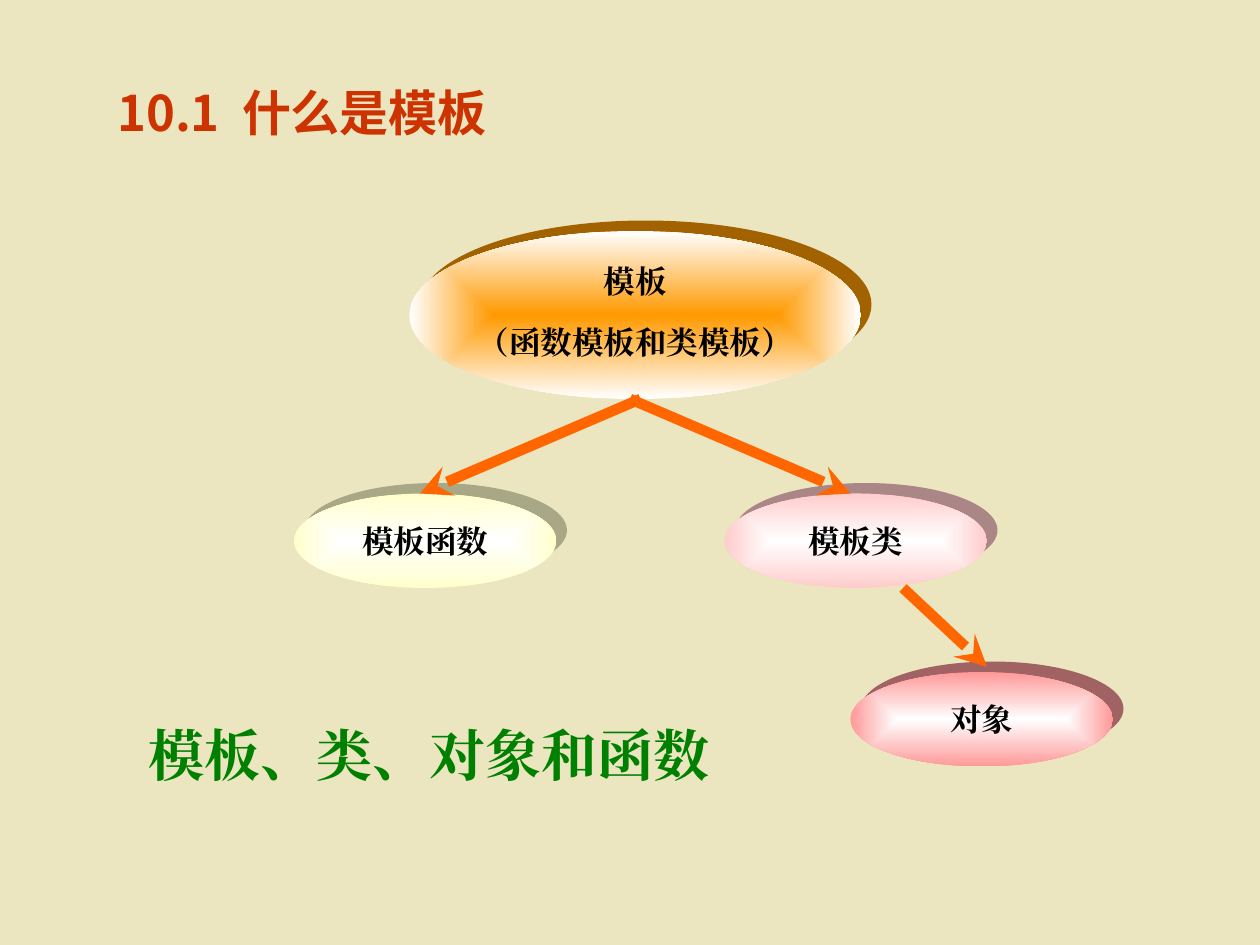
from dataclasses import dataclass
from lxml.etree import SubElement
from pptx import Presentation
from pptx.dml.color import RGBColor
from pptx.enum.shapes import MSO_CONNECTOR, MSO_SHAPE
from pptx.enum.text import MSO_ANCHOR, PP_ALIGN
from pptx.oxml import parse_xml
from pptx.oxml.ns import nsdecls, qn
from pptx.util import Inches, Pt


@dataclass(frozen=True)
class Theme:
    back: str = "ECE6C0"
    title: str = "CC3300"
    note: str = "008000"
    ink: str = "000000"
    arrow: str = "FF6600"
    sans: str = "Noto Sans CJK SC"
    serif: str = "Times New Roman"
    head: int = 28
    body: int = 18
    large: int = 32
    stroke: int = 6


THEME = Theme()
COLS, ROWS = 120, 90
UNIT = Inches(10) / COLS


def grid(*spans):
    return [round(n * UNIT) for n in spans]


def write(para, text, size, color, face):
    run = para.add_run()
    run.text = text
    font = run.font
    font.size, font.bold, font.name = Pt(size), True, face
    font.color.rgb = RGBColor.from_string(color)
    SubElement(font._element, qn("a:ea")).set("typeface", face)


def label(slide, box, text, size, color, face, wrap, pitch):
    frame = slide.shapes.add_textbox(*grid(*box)).text_frame
    frame.word_wrap = wrap
    para = frame.paragraphs[0]
    para.line_spacing = pitch
    write(para, text, size, color, face)


def oval(slide, box):
    shape = slide.shapes.add_shape(MSO_SHAPE.OVAL, *grid(*box))
    shape.shadow.inherit = False
    shape.line.fill.background()
    return shape


def glow(shape, inner, outer):
    shape.fill.background()
    props = shape._element.spPr
    old = props.find(qn("a:noFill"))
    props.replace(old, parse_xml(
        f'<a:gradFill {nsdecls("a")} rotWithShape="1"><a:gsLst>'
        f'<a:gs pos="0"><a:srgbClr val="{inner}"/></a:gs>'
        f'<a:gs pos="100000"><a:srgbClr val="{outer}"/></a:gs></a:gsLst>'
        '<a:path path="shape"><a:fillToRect l="50000" t="50000" '
        'r="50000" b="50000"/></a:path></a:gradFill>'))


def node(slide, box, lines, inner, outer, side):
    left, top, width, height = box
    rim = oval(slide, (left + 1, top - 1, width, height))
    rim.fill.solid()
    rim.fill.fore_color.rgb = RGBColor.from_string(side)
    face = oval(slide, box)
    glow(face, inner, outer)
    frame = face.text_frame
    frame.word_wrap = False
    frame.vertical_anchor = MSO_ANCHOR.MIDDLE
    for i, (text, pitch) in enumerate(lines):
        para = frame.add_paragraph() if i else frame.paragraphs[0]
        para.alignment = PP_ALIGN.CENTER
        para.line_spacing = pitch
        write(para, text, THEME.body, THEME.ink, THEME.serif)


def arrow(slide, start, end):
    link = slide.shapes.add_connector(
        MSO_CONNECTOR.STRAIGHT, *grid(*start, *end))
    link.line.width = Pt(THEME.stroke)
    link.line.color.rgb = RGBColor.from_string(THEME.arrow)
    SubElement(link.line._get_or_add_ln(), qn("a:tailEnd")).set("type", "stealth")
    SubElement(link._element.spPr, qn("a:effectLst"))


def tree(slide, box):
    left, top, width, height = box
    wide, tall = 25, 9
    mid = top + 25
    low = top + height - tall
    kind = left + 41
    node(slide, (left + 11, top, 43, 16),
         [("模板", 0.8), ("（函数模板和类模板）", 1.6)],
         "FF9900", "FFFFFF", "A36200")
    leaves = [
        (left, mid, "模板函数", "FFFFCC", "A8A886"),
        (kind, mid, "模板类", "FFCCCC", "AA8686"),
        (left + width - wide, low, "对象", "FF9999", "A06262"),
    ]
    for x, y, text, outer, side in leaves:
        node(slide, (x, y, wide, tall), [(text, 1.0)], "FFFFFF", outer, side)
    root = top + 16
    arrow(slide, (left + 33, root), (left + 12, mid))
    arrow(slide, (left + 32, root), (kind + 12, mid))
    arrow(slide, (kind + 17, mid + tall), (kind + wide, low - 0.5))


def main():
    deck = Presentation()
    deck.slide_width, deck.slide_height = grid(COLS, ROWS)
    slide = deck.slides.add_slide(deck.slide_layouts[6])
    fill = slide.background.fill
    fill.solid()
    fill.fore_color.rgb = RGBColor.from_string(THEME.back)
    label(slide, (10, 8, 73, 8), "10.1  什么是模板",
          THEME.head, THEME.title, THEME.sans, True, 0.87)
    tree(slide, (28, 22, 78, 51))
    label(slide, (13, 68, 56, 7.5), "模板、类、对象和函数",
          THEME.large, THEME.note, THEME.serif, False, 1.0)
    deck.save("out.pptx")


if __name__ == "__main__":
    main()
